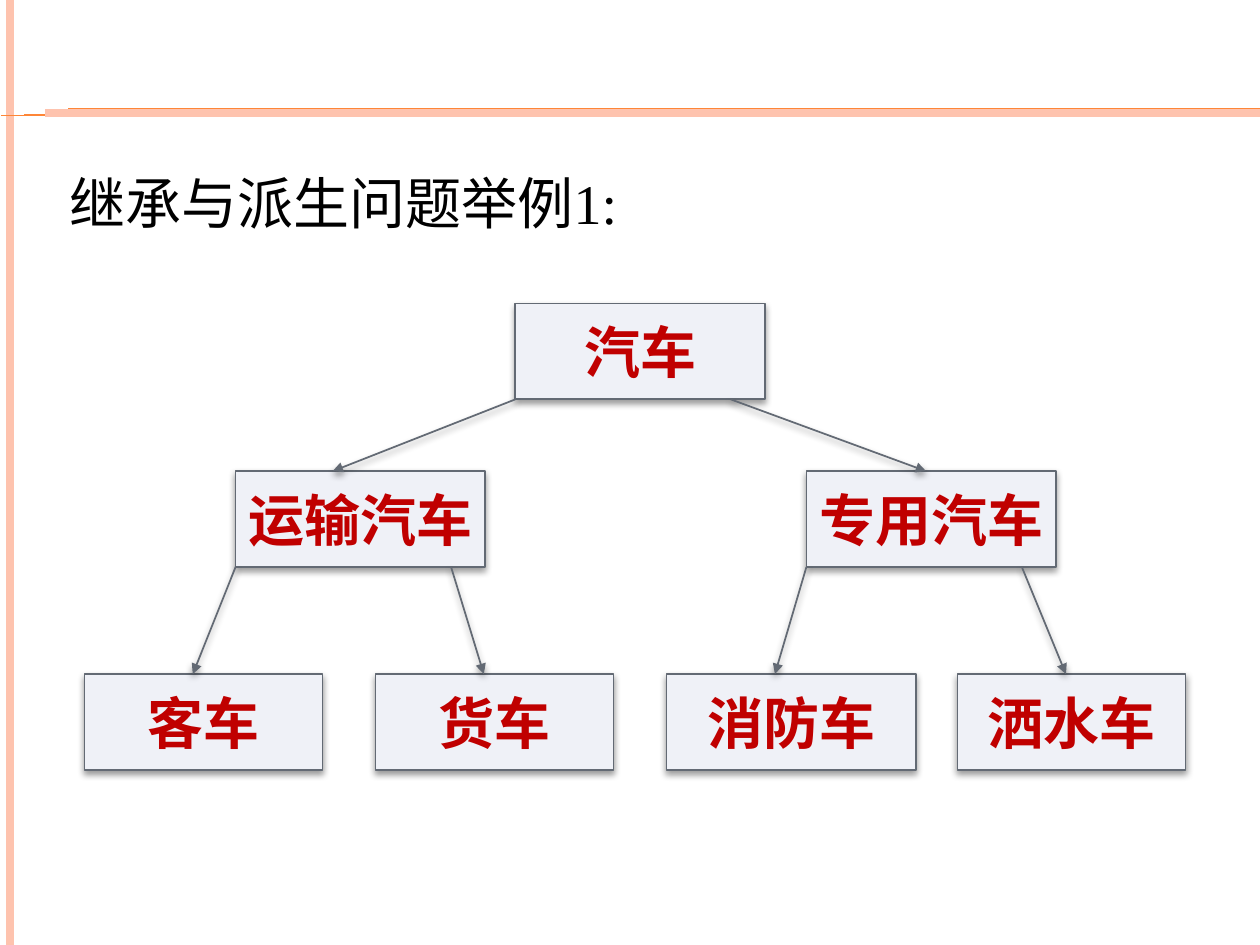
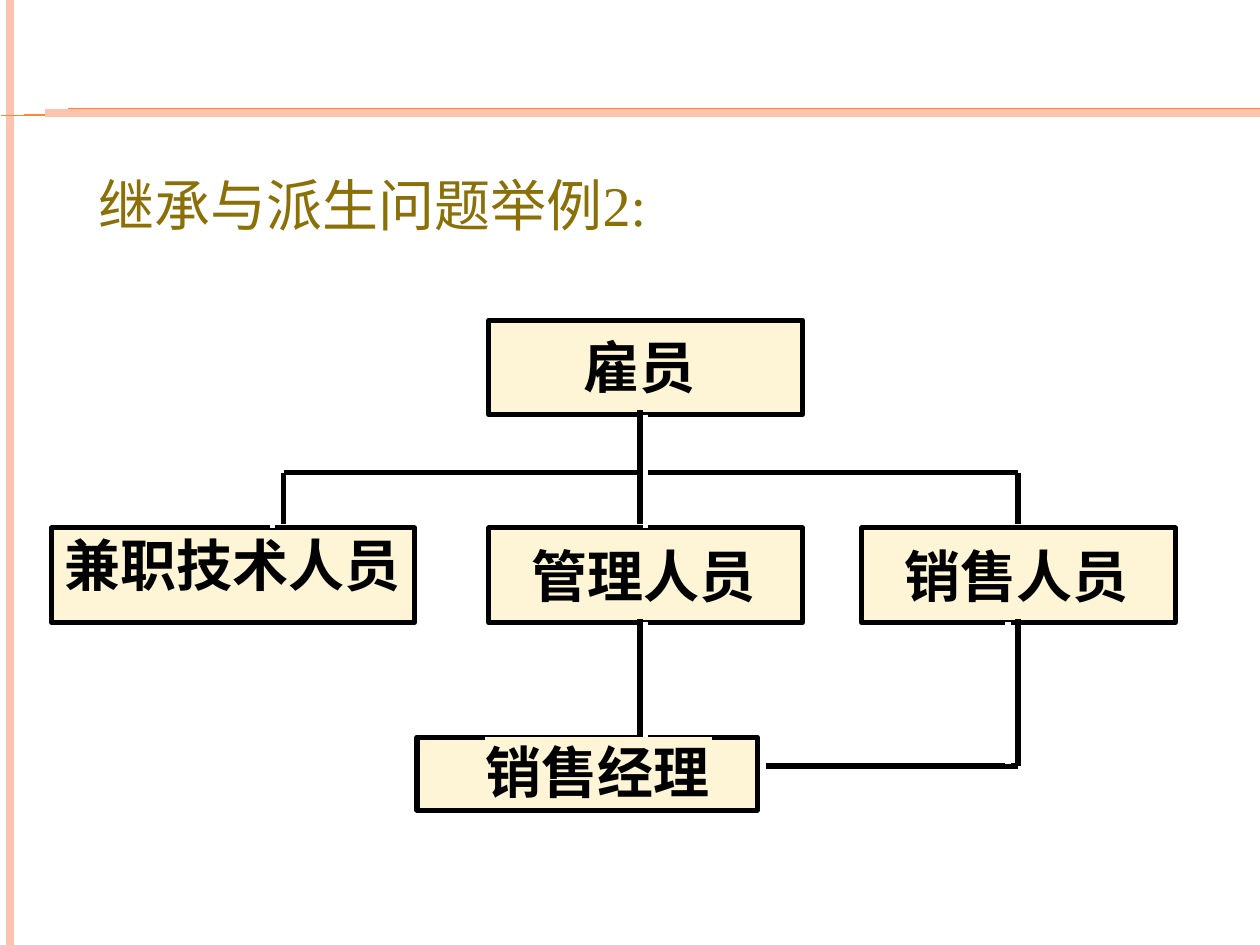
"""Two class-inheritance diagrams on a shared banded slide style."""
from lxml import etree
from pptx import Presentation
from pptx.dml.color import RGBColor
from pptx.enum.shapes import MSO_CONNECTOR, MSO_SHAPE
from pptx.enum.text import MSO_ANCHOR, PP_ALIGN
from pptx.oxml.ns import qn
from pptx.util import Inches, Pt

STRAIGHT = MSO_CONNECTOR.STRAIGHT
RECT = MSO_SHAPE.RECTANGLE
MIDDLE, BOTTOM, TOP = MSO_ANCHOR.MIDDLE, MSO_ANCHOR.BOTTOM, MSO_ANCHOR.TOP
CENTER, LEFT = PP_ALIGN.CENTER, PP_ALIGN.LEFT
COLS, ROWS = 100, 75
PEACH, ORANGE = "FEC3AE", "FE8637"
SLATE, MIST, RED = "636A74", "EFF1F7", "C00000"
BLACK, WHITE, CREAM, OLIVE = "000000", "FFFFFF", "FDF5D5", "8A7007"
SERIF, SCHOLA, SANS = "Times New Roman", "TeX Gyre Schola", "Noto Sans CJK SC"


def rgb(color):
    return RGBColor.from_string(color)


def grid(*cells):
    return [Inches(cell / 10) for cell in cells]


class Deck:
    def __init__(self):
        self.prs = Presentation()
        self.prs.slide_width, self.prs.slide_height = grid(COLS, ROWS)
        self.slide = None

    def new_slide(self):
        self.slide = self.prs.slides.add_slide(self.prs.slide_layouts[6])
        self.line(0.8, 0, 0.8, ROWS, PEACH, 4.5)
        for x, y in ((0.1, 9.15), (1.9, 9.1), (5.4, 8.65)):
            self.line(x, y, COLS, y, ORANGE, 0.75)
        self.line(3.6, 9, COLS, 9, PEACH, 4.5)

    def effects(self, s, shadow):
        effects = etree.SubElement(s._element.spPr, qn("a:effectLst"))
        if shadow:
            outer = etree.SubElement(effects, qn("a:outerShdw"), blurRad=str(Pt(4)),
                                     dist=str(Pt(2)), dir="5400000", rotWithShape="0")
            color = etree.SubElement(outer, qn("a:srgbClr"), val=BLACK)
            etree.SubElement(color, qn("a:alpha"), val="40000")

    def line(self, x1, y1, x2, y2, color, width, arrow=False):
        s = self.slide.shapes.add_connector(STRAIGHT, *grid(x1, y1, x2, y2))
        s.line.color.rgb = rgb(color)
        s.line.width = Pt(width)
        if arrow:
            ln = s._element.spPr.find(qn("a:ln"))
            etree.SubElement(ln, qn("a:tailEnd"), type="triangle")
        self.effects(s, shadow=arrow)

    def box(self, x, y, w, h, fill, color=None, width=1, shadow=False):
        s = self.slide.shapes.add_shape(RECT, *grid(x, y, w, h))
        s.fill.solid()
        s.fill.fore_color.rgb = rgb(fill)
        if color:
            s.line.color.rgb = rgb(color)
            s.line.width = Pt(width)
        else:
            s.line.fill.background()
        self.effects(s, shadow)
        return s

    def set_text(self, s, text, font, color, bold=True, anchor=MIDDLE, align=CENTER, wrap=False):
        tf = s.text_frame
        tf.word_wrap = wrap
        tf.vertical_anchor = anchor
        p = tf.paragraphs[0]
        p.text = text
        p.alignment = align
        p.font.size = Pt(32)
        p.font.name = font
        p.font.bold = bold
        p.font.color.rgb = rgb(color)
        etree.SubElement(p._p.pPr.find(qn("a:defRPr")), qn("a:ea"), typeface=SANS)

    def title(self, x, y, text, color):
        s = self.slide.shapes.add_textbox(*grid(x, y, 78.3, 10))
        self.set_text(s, text, SERIF, color, False, BOTTOM, LEFT, True)

    def label(self, x, y, text):
        s = self.box(x, y, 4.5 * len(text), 5.4, CREAM)
        tf = s.text_frame
        tf.margin_left = tf.margin_right = tf.margin_top = tf.margin_bottom = 0
        self.set_text(s, text, SANS, BLACK, anchor=TOP, align=LEFT)


def vehicles(deck):
    deck.new_slide()
    height = 7.6
    nodes = {
        "汽车": (40.9, 24.1, 19.8),
        "运输汽车": (18.7, 37.4, 19.8),
        "专用汽车": (64, 37.4, 19.8),
        "客车": (6.7, 53.5, 18.9),
        "货车": (29.8, 53.5, 18.9),
        "消防车": (52.9, 53.5, 19.8),
        "洒水车": (76, 53.5, 18.1),
    }
    for name, (x, y, w) in nodes.items():
        s = deck.box(x, y, w, height, MIST, SLATE, shadow=True)
        deck.set_text(s, name, SCHOLA, RED)
    families = (("汽车", "运输汽车", 7.7, "专用汽车", 9.5),
                ("运输汽车", "客车", 8.6, "货车", 8.6),
                ("专用汽车", "消防车", 8.6, "洒水车", 8.6))
    for parent, left, left_in, right, right_in in families:
        x, y, _ = nodes[parent]
        for start, child, landing in ((0, left, left_in), (17.1, right, right_in)):
            child_x, child_y, _ = nodes[child]
            deck.line(x + start, y + height, child_x + landing, child_y, SLATE, 1, arrow=True)
    deck.title(4.5, 9.2, "继承与派生问题举例1:", BLACK)


def employees(deck):
    deck.new_slide()
    deck.title(6.8, 9.4, "继承与派生问题举例2:", OLIVE)
    for x, y, w, h in ((33.1, 58.5, 27, 5.8), (68.4, 41.9, 24.9, 7.5), (38.8, 41.9, 24.9, 7.5),
                       (4.1, 41.9, 28.8, 7.5), (38.8, 25.4, 24.9, 7.5)):
        deck.box(x, y, w, h, CREAM, BLACK, 2.88)
    part_time, manager, sales, bus, joint = 22.5, 50.8, 80.8, 37.5, 60.8
    for ends in ((manager, 32.5, manager, 41.6), (part_time, bus, sales, bus),
                 (part_time, bus, part_time, 41.6), (sales, bus, sales, 41.6),
                 (sales, 49.1, sales, joint), (joint, joint, sales, joint),
                 (manager, 49.1, manager, 58.3)):
        deck.line(*ends, BLACK, 3)
    for x, top, bottom in ((80, 49.4, 60.6), (51.2, 32.9, 41.9),
                           (21.6, 37.4, 41.9), (51.2, 49.4, 58.5)):
        deck.line(x, top, x, bottom, WHITE, 2.88)
    for x, y, text in ((5.1, 42.1, "兼职技术人员"), (38.5, 58.5, "销售经理"),
                       (42.2, 43, "管理人员"), (71.8, 43, "销售人员"), (46.3, 26.4, "雇员")):
        deck.label(x, y, text)


def main():
    deck = Deck()
    vehicles(deck)
    employees(deck)
    deck.prs.save("out.pptx")


if __name__ == "__main__":
    main()
